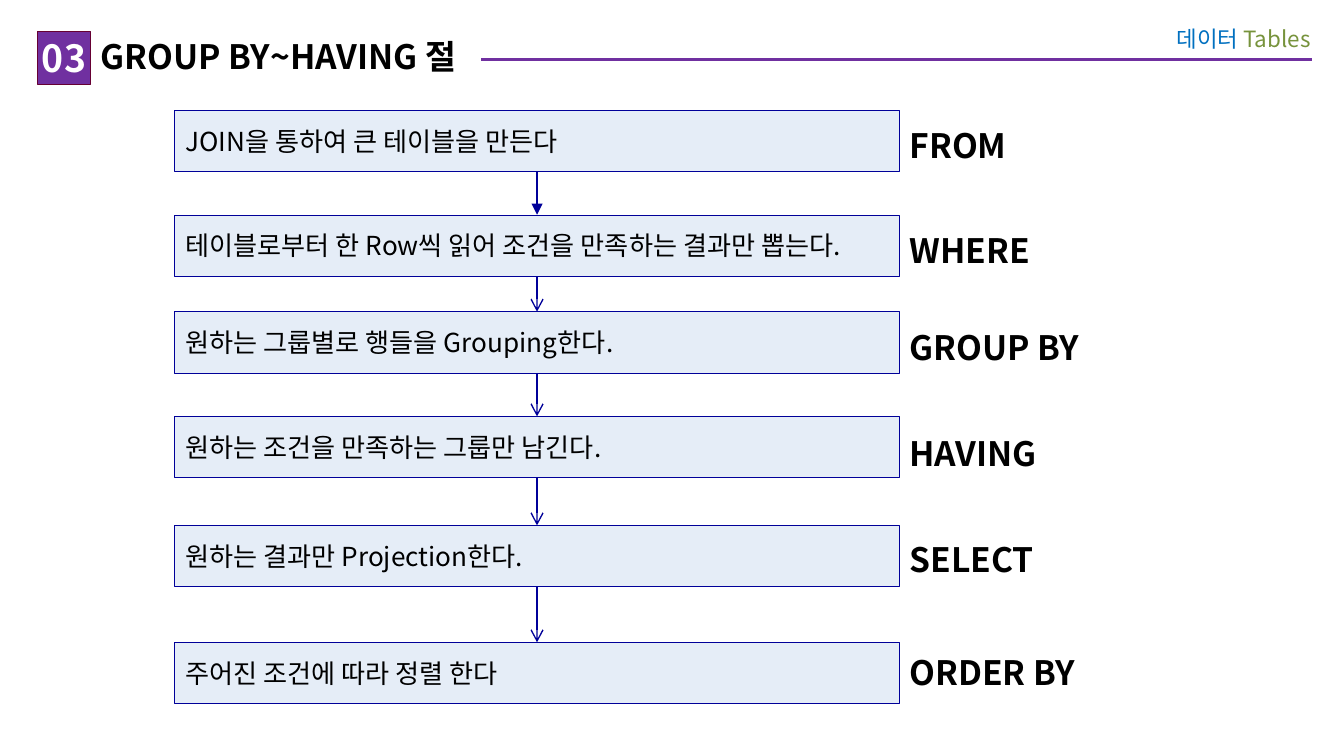
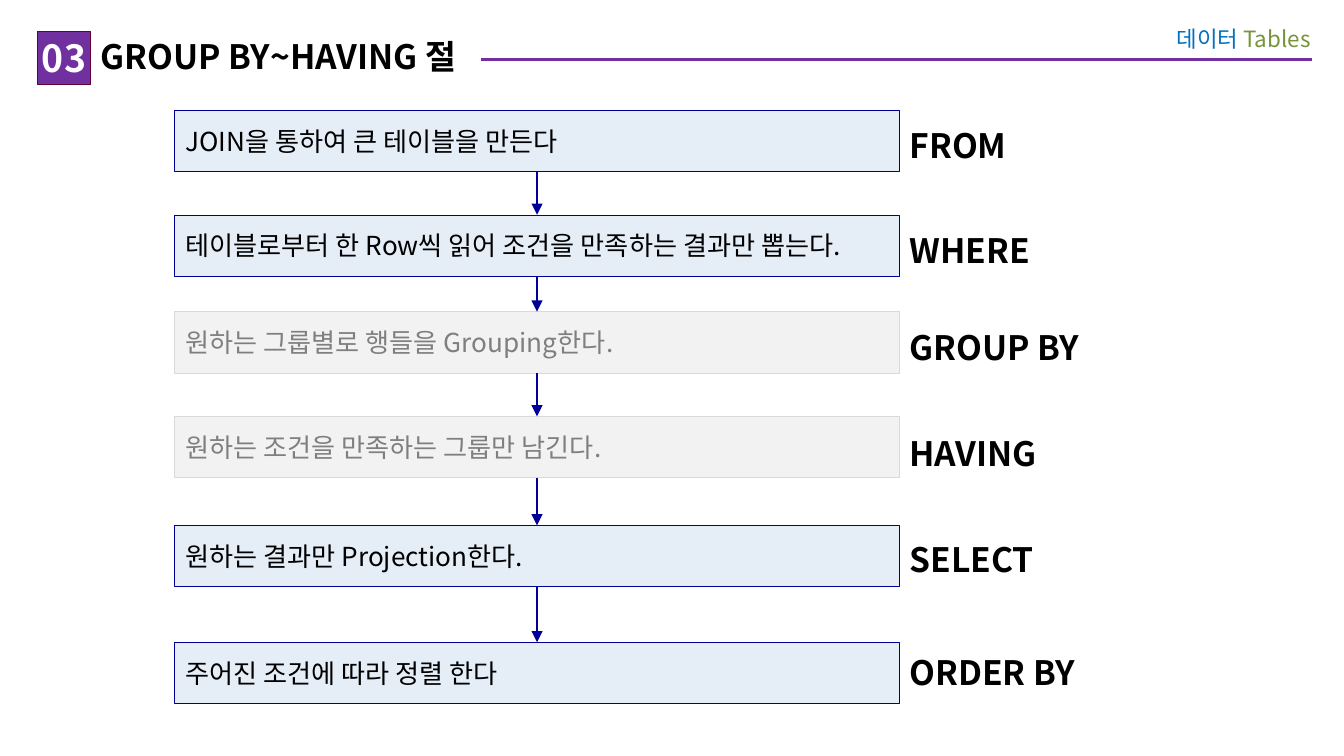
import pptx
import pptx.util
import pptx.dml.color
import pptx.enum.shapes
import pptx.enum.text
import pptx.oxml
import pptx.oxml.ns
from lxml import etree

Cm, Pt = pptx.util.Cm, pptx.util.Pt
RGBColor = pptx.dml.color.RGBColor
Align = pptx.enum.text.PP_ALIGN
Anchor = pptx.enum.text.MSO_ANCHOR
Fit = pptx.enum.text.MSO_AUTO_SIZE
qn = pptx.oxml.ns.qn

# Colours
WHITE = RGBColor(0xFF, 0xFF, 0xFF)
BLACK = RGBColor(0x00, 0x00, 0x00)
PURPLE = RGBColor(0x70, 0x30, 0xA0)
PLUM = RGBColor(0x66, 0x00, 0x33)
SKY = RGBColor(0x00, 0x70, 0xC0)
OLIVE = RGBColor(0x77, 0x93, 0x3C)
NAVY = RGBColor(0x00, 0x00, 0x99)
PALE = RGBColor(0xE5, 0xED, 0xF7)
SMOKE = RGBColor(0xF2, 0xF2, 0xF2)
SILVER = RGBColor(0xD9, 0xD9, 0xD9)
GRAY = RGBColor(0x7F, 0x7F, 0x7F)

FONT = "Noto Sans CJK KR"

# Box fill, line and text colours
ACTIVE = (PALE, NAVY, BLACK)
FADED = (SMOKE, SILVER, GRAY)

# Flow layout in centimetres
BOX_LEFT, BOX_WIDTH, BOX_HEIGHT = 3.3, 13.7, 1.16
MIDDLE = BOX_LEFT + BOX_WIDTH / 2

# Clause, step, box top, label top
STEPS = [
    ("FROM", "JOIN을 통하여 큰 테이블을 만든다", 2.08, 2.24),
    ("WHERE", "테이블로부터 한 Row씩 읽어 조건을 만족하는 결과만 뽑는다.", 4.06, 4.22),
    ("GROUP BY", "원하는 그룹별로 행들을 Grouping한다.", 5.89, 6.05),
    ("HAVING", "원하는 조건을 만족하는 그룹만 남긴다.", 7.87, 8.05),
    ("SELECT", "원하는 결과만 Projection한다.", 9.93, 10.06),
    ("ORDER BY", "주어진 조건에 따라 정렬 한다", 12.14, 12.19),
]


class Deck:
    def __init__(self):
        self.prs = pptx.Presentation()
        self.prs.slide_width = Cm(25.4)
        self.prs.slide_height = Cm(14.29)
        self.slide = None

    def style(self, par, size, color=None, bold=False, align=Align.LEFT):
        par.alignment = align
        par.space_before = Pt(0)
        font = par.font
        font.name, font.size, font.bold = FONT, Pt(size), bold
        if color is not None:
            font.color.rgb = color
        east = etree.SubElement(par._p.pPr.find(qn("a:defRPr")), qn("a:ea"))
        east.set("typeface", FONT)

    def frame(self, shape, insets, anchor=Anchor.TOP, fit=Fit.NONE):
        frame = shape.text_frame
        frame.word_wrap = True
        frame.auto_size = fit
        frame.vertical_anchor = anchor
        (frame.margin_left, frame.margin_top,
         frame.margin_right, frame.margin_bottom) = map(Cm, insets)
        return frame.paragraphs[0]

    def paint(self, shape, fill, line=None):
        shape.fill.solid()
        shape.fill.fore_color.rgb = fill
        if line is not None:
            shape.line.color.rgb = line
            shape.line.width = Pt(0.25)

    def holder(self, shape, area, text, insets, anchor, fit):
        shape.left, shape.top, shape.width, shape.height = map(Cm, area)
        # Placeholders lie above the header rule
        self.slide.shapes._spTree.append(shape._element)
        par = self.frame(shape, insets, anchor, fit)
        par.text = text
        props = par._p.get_or_add_pPr()
        props.set("marL", "0")
        props.set("indent", "0")
        etree.SubElement(props, qn("a:buNone"))
        return par

    def text(self, area, insets):
        box = self.slide.shapes.add_textbox(*map(Cm, area))
        return self.frame(box, insets, fit=Fit.SHAPE_TO_FIT_TEXT)

    def line(self, start, end, color, width, head=None):
        kind = pptx.enum.shapes.MSO_CONNECTOR.STRAIGHT
        link = self.slide.shapes.add_connector(kind, *map(Cm, start + end))
        link.line.color.rgb = color
        link.line.width = Pt(width)
        props = link._element.spPr
        if head:
            tail = etree.SubElement(props.find(qn("a:ln")), qn("a:tailEnd"))
            tail.set("type", head)
        etree.SubElement(props, qn("a:effectLst"))

    def box(self, top, text, look):
        fill, line, color = look
        kind = pptx.enum.shapes.MSO_SHAPE.FLOWCHART_PROCESS
        area = map(Cm, (BOX_LEFT, top, BOX_WIDTH, BOX_HEIGHT))
        shape = self.slide.shapes.add_shape(kind, *area)
        shape.shadow.inherit = False
        self.paint(shape, fill, line)
        par = self.frame(shape, (0.2, 0, 0, 0), Anchor.MIDDLE)
        par.text = text
        self.style(par, 14, color)

    def label(self, top, text):
        par = self.text((16.94, top, 4.85, 1.02), (0.25, 0.13, 0.25, 0.13))
        par.text = text
        self.style(par, 18, BLACK, bold=True)

    def header(self, number, title):
        # Rule and subject
        self.line((24.79, 1.12), (1.8, 1.12), PURPLE, 1.5)
        par = self.text((21.11, 0.28, 3.91, 0.91), (0.25, 0.2, 0.25, 0.2))
        for word, color in (("데이터 ", SKY), ("Tables", OLIVE)):
            run = par.add_run()
            run.text = word
            run.font.color.rgb = color
        self.style(par, 12, align=Align.RIGHT)

        # Title and number
        name, badge = self.slide.placeholders
        par = self.holder(name, (1.7, 0.58, 7.39, 0.97), title,
                          (0.2, 0.1, 0, 0.1), Anchor.TOP, Fit.SHAPE_TO_FIT_TEXT)
        self.paint(name, WHITE)
        self.style(par, 18, BLACK, bold=True)
        par = self.holder(badge, (0.71, 0.59, 1, 1), number,
                          (0, 0, 0, 0), Anchor.MIDDLE, Fit.NONE)
        self.paint(badge, PURPLE, PLUM)
        self.style(par, 20, WHITE, bold=True, align=Align.CENTER)

    def flow(self, head, faded=()):
        self.slide = self.prs.slides.add_slide(self.prs.slide_layouts[1])
        self.header("03", "GROUP BY~HAVING 절")

        # Boxes and clause names
        for clause, step, top, side in STEPS:
            self.box(top, step, FADED if clause in faded else ACTIVE)
            self.label(side, clause)

        # Arrows between neighbouring boxes
        tops = [step[2] for step in STEPS]
        for i, (above, below) in enumerate(zip(tops, tops[1:])):
            self.line((MIDDLE, above + BOX_HEIGHT), (MIDDLE, below), NAVY, 0.75,
                      head if i else "triangle")


def main():
    deck = Deck()
    deck.flow("arrow")
    deck.flow("triangle", faded=("GROUP BY", "HAVING"))
    deck.prs.save("out.pptx")


if __name__ == "__main__":
    main()
